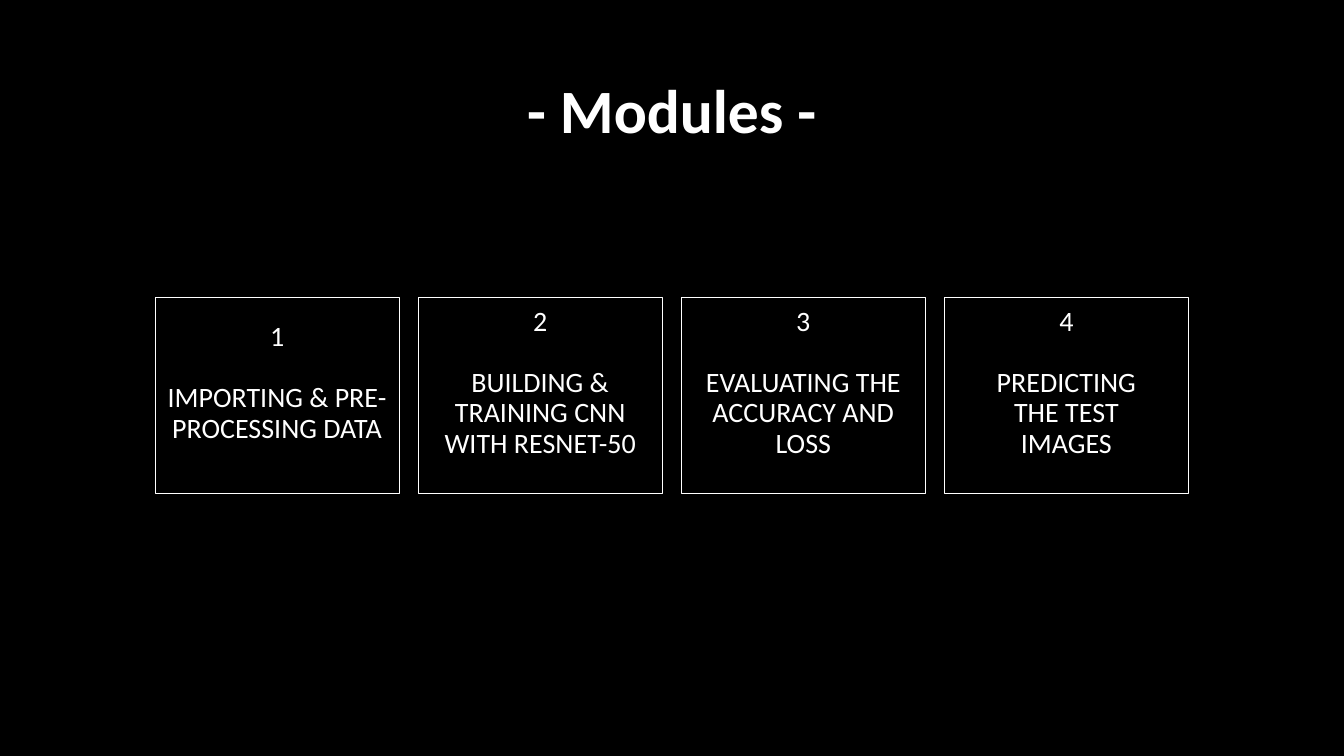
from pptx import Presentation
from pptx.dml.color import RGBColor
from pptx.enum import shapes, text
from pptx.util import Cm, Pt

BLACK = RGBColor(0, 0, 0)
WHITE = RGBColor(255, 255, 255)

STEPS = [
    "IMPORTING & PRE-PROCESSING DATA",
    "BUILDING & TRAINING CNN WITH RESNET-50",
    "EVALUATING THE ACCURACY AND LOSS",
    "PREDICTING\nTHE TEST\nIMAGES",
]
LEFT, TOP, WIDTH, HEIGHT, PITCH = 3.91, 7.49, 6.15, 4.95, 6.63


def write(shape, words, size, bold=False):
    frame = shape.text_frame
    frame.text = words
    frame.word_wrap = True
    frame.vertical_anchor = text.MSO_ANCHOR.MIDDLE
    for para in frame.paragraphs:
        para.alignment = text.PP_ALIGN.CENTER
        para.line_spacing = 0.9
        for run in para.runs:
            font = run.font
            font.name = "Calibri"
            font.size = Pt(size)
            font.bold = bold
            font.color.rgb = WHITE
    return frame


def add_title(slide, words):
    box = slide.shapes.add_textbox(Cm(2.33), Cm(1.01), Cm(29.21), Cm(3.68))
    write(box, words, 44, True)


def add_step(slide, index, words):
    card = slide.shapes.add_shape(
        shapes.MSO_SHAPE.RECTANGLE,
        Cm(LEFT + index * PITCH), Cm(TOP), Cm(WIDTH), Cm(HEIGHT))
    card.shadow.inherit = False
    card.fill.background()
    card.line.color.rgb = WHITE
    card.line.width = Pt(0.75)
    frame = write(card, f"{index + 1}\n{words}", 20)
    frame.margin_left = frame.margin_right = frame.margin_top = Cm(0.25)
    frame.margin_bottom = Cm(0.86)
    frame.paragraphs[0].space_after = Pt(22)


def main():
    deck = Presentation()
    deck.slide_width, deck.slide_height = Cm(33.87), Cm(19.05)
    slide = deck.slides.add_slide(deck.slide_layouts[6])
    back = slide.background.fill
    back.solid()
    back.fore_color.rgb = BLACK
    add_title(slide, "- Modules -")
    for index, words in enumerate(STEPS):
        add_step(slide, index, words)
    deck.save("out.pptx")


if __name__ == "__main__":
    main()
